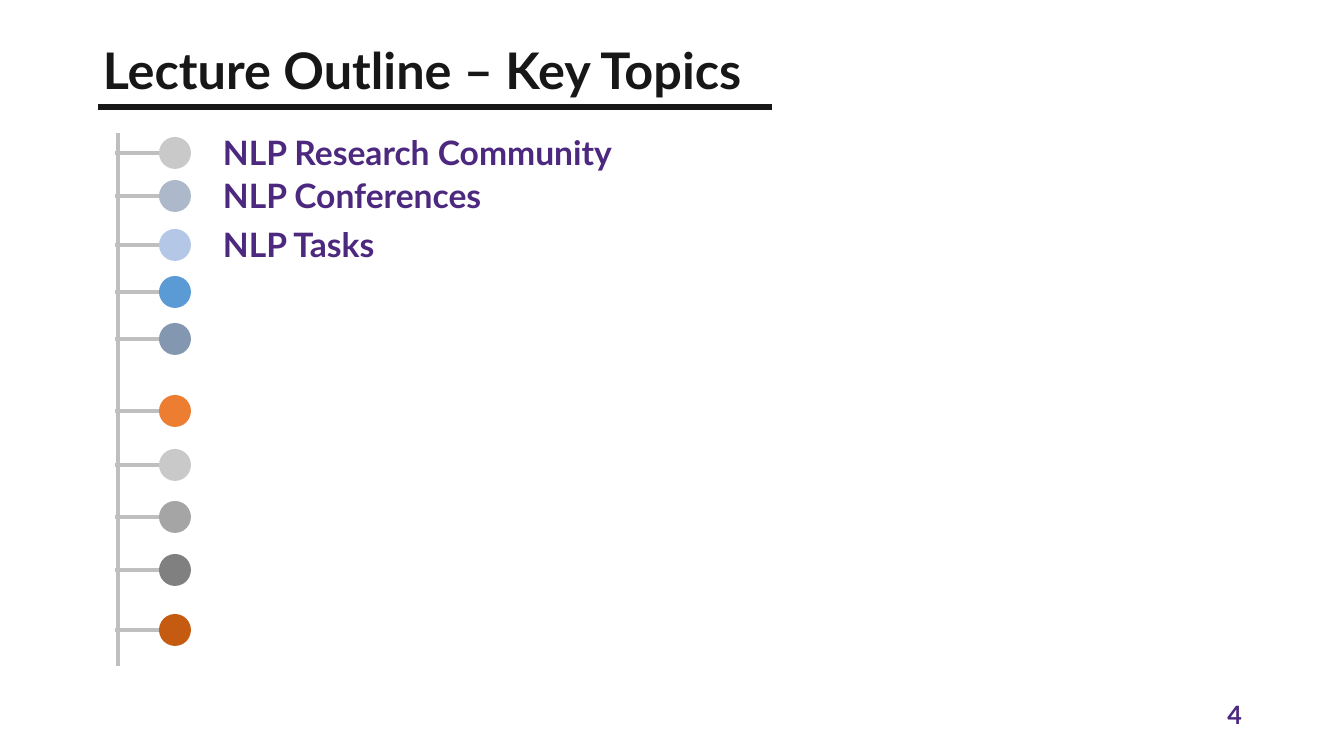
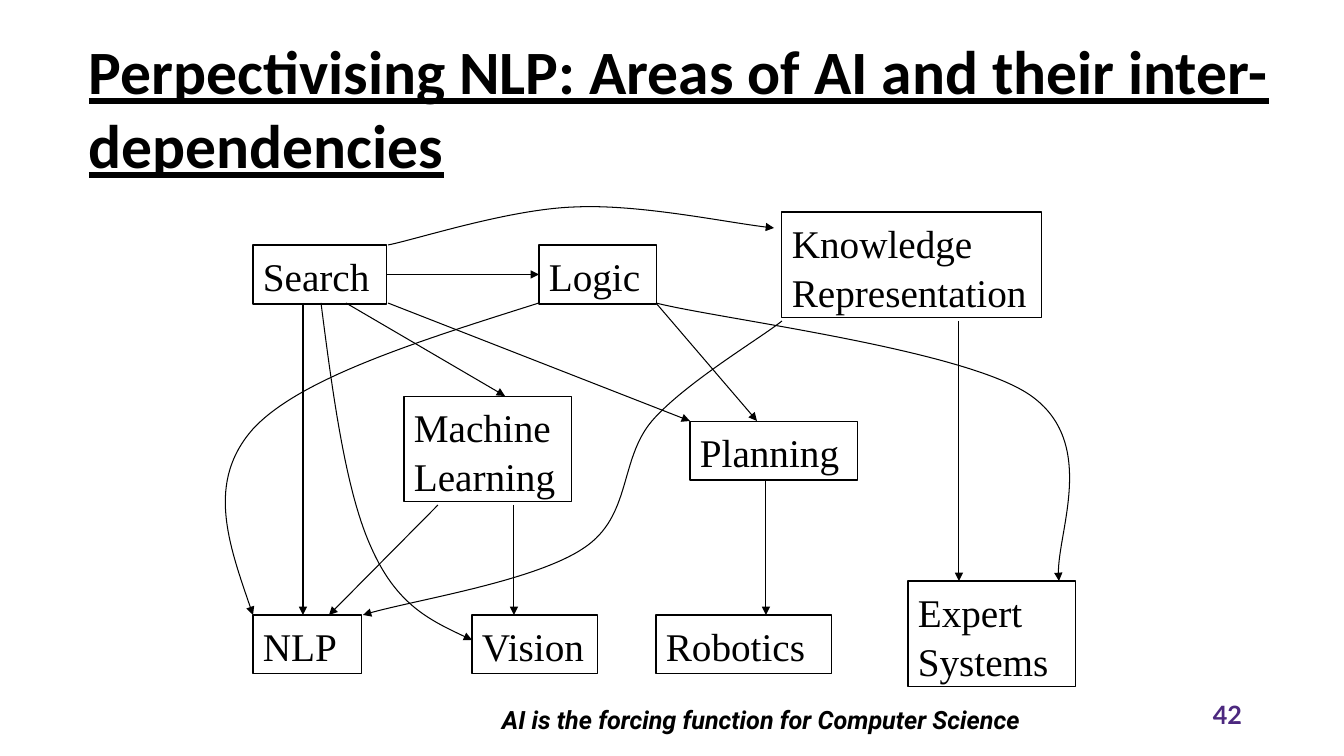
import pptx
import pptx.util
from pptx.dml.color import RGBColor
from pptx.enum.shapes import MSO_CONNECTOR, MSO_SHAPE
from pptx.enum.text import MSO_ANCHOR, PP_ALIGN
from pptx.oxml.ns import qn
from lxml import etree

PX = 914400 / 100.8
WHITE = RGBColor(0xFF, 0xFF, 0xFF)
BLACK = RGBColor(0x00, 0x00, 0x00)
INK = RGBColor(0x18, 0x17, 0x17)
PURPLE = RGBColor(0x4C, 0x28, 0x7F)
RAIL = RGBColor(0xBF, 0xBF, 0xBF)
SILVER = RGBColor(0xC9, 0xC9, 0xC9)
STEEL = RGBColor(0xAD, 0xB9, 0xCA)
PALE_BLUE = RGBColor(0xB4, 0xC7, 0xE7)
BLUE = RGBColor(0x5B, 0x9B, 0xD5)
SLATE = RGBColor(0x84, 0x97, 0xB0)
ORANGE = RGBColor(0xED, 0x7D, 0x31)
GRAY = RGBColor(0xA5, 0xA5, 0xA5)
DARK_GRAY = RGBColor(0x80, 0x80, 0x80)
RUST = RGBColor(0xC5, 0x5A, 0x11)


def emu(*lengths):
    return [pptx.util.Emu(round(n * PX)) for n in lengths]


def write(tf, text, font="Lato", size=18, color=PURPLE, bold=False, italic=False,
          underline=False, align=PP_ALIGN.LEFT, anchor=MSO_ANCHOR.TOP,
          spacing=None, inset=None):
    tf.word_wrap = True
    tf.vertical_anchor = anchor
    if inset is not None:
        tf.margin_left = tf.margin_top = tf.margin_right = tf.margin_bottom = inset
    p = tf.paragraphs[0]
    p.alignment = align
    p.line_spacing = spacing
    r = p.add_run()
    r.text = text
    r.font.name = font
    r.font.size = pptx.util.Pt(size)
    r.font.color.rgb = color
    r.font.bold, r.font.italic, r.font.underline = bold, italic, underline


class Deck:
    def __init__(self):
        self.prs = pptx.Presentation()
        self.prs.slide_width, self.prs.slide_height = emu(1344, 756)

    def slide(self, number):
        self.s = self.prs.slides.add_slide(self.prs.slide_layouts[6])
        self.s.background.fill.solid()
        self.s.background.fill.fore_color.rgb = WHITE
        self.text(950, 694, 302, 40, str(number), bold=True, align=PP_ALIGN.RIGHT)

    def text(self, x, y, w, h, text, **fmt):
        write(self.s.shapes.add_textbox(*emu(x, y, w, h)).text_frame, text, **fmt)

    def dot(self, x, y, size, color):
        sp = self.s.shapes.add_shape(MSO_SHAPE.OVAL, *emu(x, y, size, size))
        sp.shadow.inherit = False
        sp.fill.solid()
        sp.fill.fore_color.rgb = color
        sp.line.fill.background()

    def box(self, x, y, w, h, text):
        sp = self.s.shapes.add_shape(MSO_SHAPE.RECTANGLE, *emu(x, y, w, h))
        sp.shadow.inherit = False
        sp.fill.background()
        self.stroke(sp, BLACK, 0.75)
        write(sp.text_frame, text, font="Times New Roman", size=28, color=BLACK,
              spacing=1.05)
        return sp

    def stroke(self, sp, color, width, arrow=False):
        sp.line.color.rgb = color
        sp.line.width = pptx.util.Pt(width)
        if arrow:
            etree.SubElement(sp.line._get_or_add_ln(), qn("a:tailEnd"), type="triangle")

    def line(self, x1, y1, x2, y2, color=BLACK, width=0.75, arrow=False):
        c = self.s.shapes.add_connector(MSO_CONNECTOR.STRAIGHT, *emu(x1, y1, x2, y2))
        self.stroke(c, color, width, arrow)
        etree.SubElement(c._element.spPr, qn("a:effectLst"))
        return c

    def curve(self, start, *points):
        """Draw a curved arrow; every three points make one cubic Bézier segment."""
        builder = self.s.shapes.build_freeform(*start, scale=PX)
        builder.add_line_segments(points, close=False)
        sp = builder.convert_to_shape()
        sp.shadow.inherit = False
        sp.fill.background()
        self.stroke(sp, BLACK, 0.75, arrow=True)
        steps = list(sp._element.iter(qn("a:lnTo")))
        for i in range(0, len(steps), 3):
            bezier = etree.Element(qn("a:cubicBezTo"))
            steps[i].addprevious(bezier)
            for step in steps[i:i + 3]:
                bezier.append(step[0])
                step.getparent().remove(step)


def outline(deck):
    deck.slide(4)
    deck.text(93, 0, 1159, 146, "Lecture Outline – Key Topics", size=36, color=INK,
              bold=True, anchor=MSO_ANCHOR.MIDDLE, spacing=0.9)
    deck.line(98, 107, 772, 107, INK, 4.5)
    deck.line(118, 133, 118, 666, RAIL, 3)
    stops = [
        (153, SILVER, "NLP Research Community"), (196, STEEL, "NLP Conferences"),
        (245, PALE_BLUE, "NLP Tasks"), (292, BLUE, ""), (339, SLATE, ""),
        (411, ORANGE, ""), (465, SILVER, ""), (517, GRAY, ""),
        (570, DARK_GRAY, ""), (630, RUST, ""),
    ]
    for y, color, topic in stops:
        deck.line(115, y, 159, y, RAIL, 2.25)
        deck.dot(159, y - 16, 32, color)
        if topic:
            deck.text(223, y - 16, 957, 36, topic, size=24, bold=True,
                      anchor=MSO_ANCHOR.MIDDLE, spacing=0.9, inset=0)


def areas(deck):
    deck.slide(42)
    deck.text(79, 25, 1205, 161,
              "Perpectivising NLP: Areas of AI and their inter-dependencies",
              font="Calibri", size=44, color=BLACK, bold=True, underline=True,
              anchor=MSO_ANCHOR.BOTTOM)
    one_line, two_lines = 59, 106
    search = deck.box(253, 245, 134, one_line, "Search")
    logic = deck.box(539, 245, 118, one_line, "Logic")
    for x, y, w, h, area in [
        (782, 212, 260, two_lines, "Knowledge Representation"),
        (404, 396, 168, two_lines, "Machine Learning"),
        (690, 421, 168, one_line, "Planning"),
        (253, 615, 109, one_line, "NLP"),
        (472, 615, 126, one_line, "Vision"),
        (656, 615, 176, one_line, "Robotics"),
        (908, 581, 168, two_lines, "Expert Systems"),
    ]:
        deck.box(x, y, w, h, area)

    search_logic = deck.line(387, 275, 539, 275, arrow=True)
    search_logic.begin_connect(search, 3)
    search_logic.end_connect(logic, 1)
    for ends in [
        (303, 303, 303, 615), (388, 303, 690, 421), (346, 303, 505, 396),
        (656, 303, 757, 421), (959, 321, 959, 581), (514, 505, 514, 615),
        (766, 480, 766, 615), (438, 505, 329, 615),
    ]:
        deck.line(*ends, arrow=True)
    for points in [
        [(388, 245), (418, 239), (510, 209), (575, 207),
         (639, 204), (733, 224), (774, 228)],
        [(321, 303), (333, 397), (346, 492), (371, 547),
         (396, 604), (433, 622), (472, 640)],
        [(539, 303), (419, 341), (300, 378), (253, 429),
         (206, 482), (230, 548), (253, 615)],
        [(656, 303), (719, 319), (963, 349), (1030, 395),
         (1098, 442), (1053, 542), (1059, 581)],
        [(782, 321), (761, 338), (685, 383), (652, 421), (619, 460),
         (632, 516), (584, 548), (535, 581), (408, 601), (363, 615)],
    ]:
        deck.curve(*points)
    deck.text(492, 699, 620, 40, "AI is the forcing function for Computer Science",
              font="Roboto", color=BLACK, bold=True, italic=True)


def main():
    deck = Deck()
    outline(deck)
    areas(deck)
    deck.prs.save("out.pptx")


if __name__ == "__main__":
    main()
